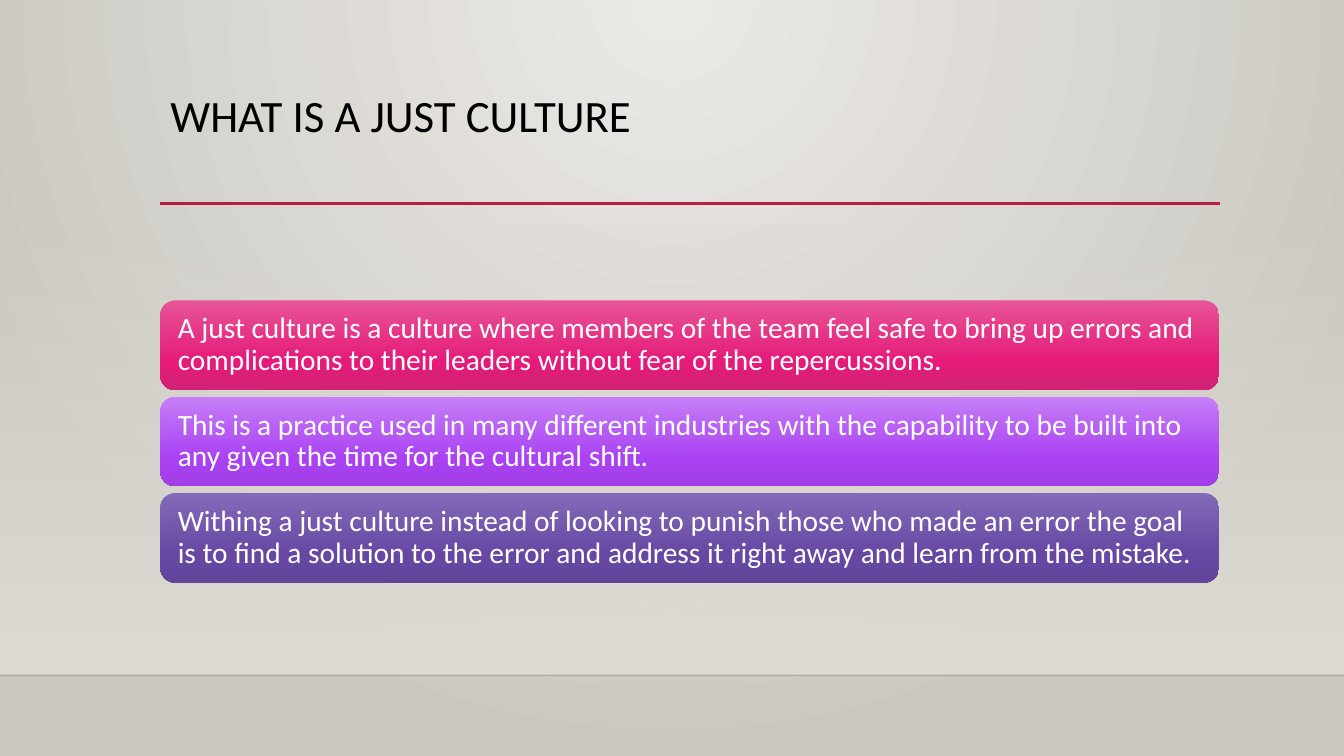
from lxml import etree
from pptx import Presentation
from pptx.dml.color import RGBColor
from pptx.enum.shapes import MSO_CONNECTOR, MSO_SHAPE
from pptx.enum.text import MSO_ANCHOR, PP_ALIGN
from pptx.oxml.ns import qn
from pptx.util import Inches, Pt

LINE = MSO_CONNECTOR.STRAIGHT
RECT, ROUND = MSO_SHAPE.RECTANGLE, MSO_SHAPE.ROUNDED_RECTANGLE
TOP, MID = MSO_ANCHOR.TOP, MSO_ANCHOR.MIDDLE
LEFT = PP_ALIGN.LEFT

BLACK = RGBColor(0, 0, 0)
WHITE = RGBColor(0xFF, 0xFF, 0xFF)
RED = RGBColor(0xB7, 0x1E, 0x42)
PALE = RGBColor(0xEC, 0xEA, 0xE7)
STONE = RGBColor(0xCA, 0xC7, 0xC1)
SAND = RGBColor(0xDF, 0xDB, 0xD5)
PINK = (RGBColor(0xE7, 0x55, 0x97), RGBColor(0xE5, 0x1A, 0x79), RGBColor(0xCF, 0x23, 0x74))
VIOLET = (RGBColor(0xC5, 0x7F, 0xF7), RGBColor(0xAA, 0x41, 0xF3), RGBColor(0xA1, 0x3F, 0xE5))
INDIGO = (RGBColor(0x83, 0x6A, 0xB8), RGBColor(0x66, 0x48, 0xA3), RGBColor(0x60, 0x45, 0x9A))


def write(shape, text, size=21, color=WHITE, anchor=MID, inset=0.13, after=0):
    frame = shape.text_frame
    frame.word_wrap = True
    frame.vertical_anchor = anchor
    frame.margin_left = frame.margin_right = Inches(inset)
    frame.margin_top = frame.margin_bottom = Inches(0.05)
    para = frame.paragraphs[0]
    para.alignment = LEFT
    para.line_spacing = 0.9
    para.space_after = Pt(after)
    run = para.add_run()
    run.text = text
    run.font.name = "Calibri"
    run.font.size = Pt(size)
    run.font.color.rgb = color


def shade(host, stops, focus=None):
    host.fill.solid()
    root = slide.element if host is slide.background else host.element
    old = next(root.iter(qn("a:solidFill")))
    grad = etree.Element(qn("a:gradFill"), rotWithShape="1")
    ramp = etree.SubElement(grad, qn("a:gsLst"))
    for pos, color, alpha in stops:
        stop = etree.SubElement(ramp, qn("a:gs"), pos=str(pos * 1000))
        tint = etree.SubElement(stop, qn("a:srgbClr"), val=str(color))
        etree.SubElement(tint, qn("a:alpha"), val=str(alpha * 1000))
    if focus:
        way = etree.SubElement(grad, qn("a:path"))
        way.set("path", "circle")
        rect = etree.SubElement(way, qn("a:fillToRect"))
        for side, share in zip("ltrb", focus):
            rect.set(side, str(share * 1000))
    else:
        etree.SubElement(grad, qn("a:lin"), ang="5400000", scaled="0")
    old.getparent().replace(old, grad)


deck = Presentation()
deck.slide_width, deck.slide_height = Inches(13.33), Inches(7.5)
slide = deck.slides.add_slide(deck.slide_layouts[5])
shapes = slide.shapes
wide = deck.slide_width
edge, span = Inches(1.59), Inches(10.5)
base = Inches(6.7)

shade(slide.background, [(0, PALE, 100), (100, STONE, 100)], focus=(43, 0, 43, 100))

wall = shapes.add_shape(RECT, 0, Inches(2.21), wide, base - Inches(2.21))
wall.shadow.inherit = False
wall.line.fill.background()
shade(wall, [(0, SAND, 0), (100, SAND, 100)])

rules = [(0, wide, base, BLACK, 1, 20), (edge, Inches(12.1), Inches(2.02), RED, 2.5, 100)]
for start, end, y, color, weight, alpha in rules:
    rule = shapes.add_connector(LINE, start, y, end, y)
    rule.line.color.rgb = color
    rule.line.width = Pt(weight)
    tint = next(rule.element.iter(qn("a:srgbClr")))
    etree.SubElement(tint, qn("a:alpha"), val=str(alpha * 1000))
    etree.SubElement(rule.element.spPr, qn("a:effectLst"))

title = shapes.title
title.left, title.top, title.width, title.height = edge, Inches(0.88), span, Inches(1.15)
write(title, "WHAT IS A JUST CULTURE", size=32, color=BLACK, anchor=TOP, inset=0.1)

cards = [
    (PINK, "A just culture is a culture where members of the team feel safe to bring up errors and complications to their leaders without fear of the repercussions."),
    (VIOLET, "This is a practice used in many different industries with the capability to be built into any given the time for the cultural shift."),
    (INDIGO, "Withing a just culture instead of looking to punish those who made an error the goal is to find a solution to the error and address it right away and learn from the mistake."),
]
first, pitch, tall = Inches(2.98), Inches(0.955), Inches(0.89)
for row, (tones, text) in enumerate(cards):
    card = shapes.add_shape(ROUND, edge, first + row * pitch, span, tall)
    card.shadow.inherit = False
    card.line.fill.background()
    shade(card, [(pos, tone, 100) for pos, tone in zip((0, 69, 100), tones)])
    write(card, text)

deck.save("out.pptx")
